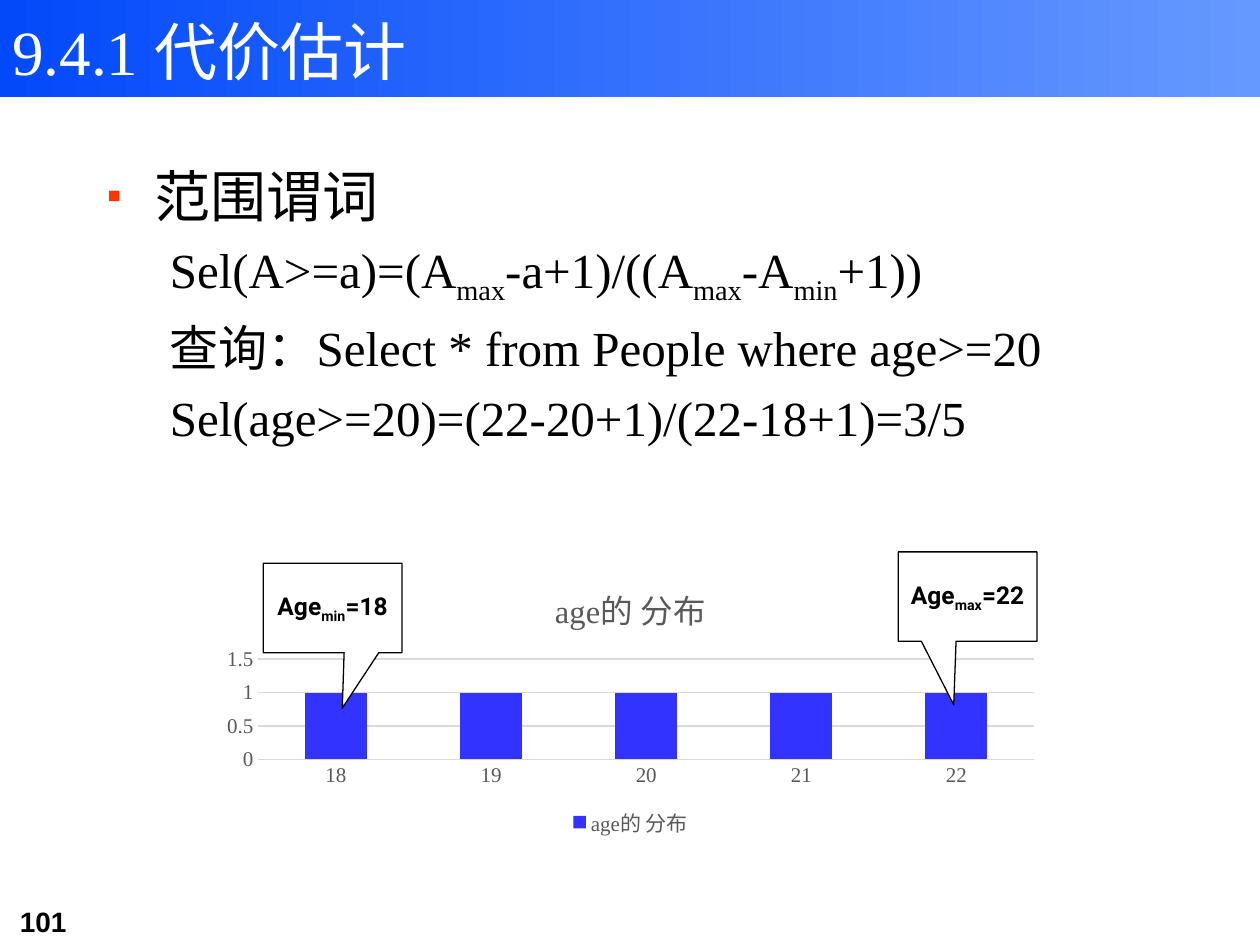
from lxml import etree
from pptx import Presentation
from pptx import util as u
from pptx.chart import data as cd
from pptx.dml.color import RGBColor
from pptx.enum import chart as ch, shapes, text
from pptx.oxml import ns

BLACK = RGBColor(0x00, 0x00, 0x00)
WHITE = RGBColor(0xFF, 0xFF, 0xFF)
DEEP = RGBColor(0x02, 0x49, 0xFA)
LIGHT = RGBColor(0x66, 0x99, 0xFF)
BAR = RGBColor(0x33, 0x33, 0xFF)
RED = RGBColor(0xFF, 0x33, 0x00)
GRAY = RGBColor(0x59, 0x59, 0x59)
PALE = RGBColor(0xD9, 0xD9, 0xD9)
SERIF, SANS, LABEL = "Times New Roman", "Arial", "Roboto"


class Deck:
    def __init__(self):
        self.prs = Presentation()
        self.prs.slide_width = u.Inches(10)
        self.prs.slide_height = u.Inches(7.5)
        self.slide = self.prs.slides.add_slide(self.prs.slide_layouts[6])

    def style(self, font, size, color, name=SERIF, bold=False):
        font.size = u.Pt(size)
        font.color.rgb = color
        font.name = name
        font.bold = bold

    def runs(self, para, parts, *look):
        for i, part in enumerate(parts):
            run = para.add_run()
            run.text = part
            self.style(run.font, *look)
            if i % 2:
                run.font._element.set("baseline", "-25000")

    def shape(self, kind, box):
        item = self.slide.shapes.add_shape(kind, *map(u.Inches, box))
        item.shadow.inherit = False
        return item

    def band(self, box):
        item = self.shape(shapes.MSO_SHAPE.RECTANGLE, box)
        item.line.fill.background()
        item.fill.gradient()
        item.fill.gradient_angle = 0
        for stop, color in zip(item.fill.gradient_stops, (DEEP, LIGHT)):
            stop.color.rgb = color

    def frame(self, box):
        frame = self.slide.shapes.add_textbox(*map(u.Inches, box)).text_frame
        frame.word_wrap = True
        return frame

    def label(self, box, words, *look):
        self.runs(self.frame(box).paragraphs[0], [words], *look)

    def body(self, box, head, lines):
        frame = self.frame(box)
        para = frame.paragraphs[0]
        self.runs(para, [head], 32, BLACK)
        self.bullet(para)
        for parts in lines:
            para = frame.add_paragraph()
            para.level = 1
            para.space_before = u.Pt(6.4)
            para._p.get_or_add_pPr().set("marL", str(u.Inches(0.5)))
            self.runs(para, parts, 28, BLACK)

    def bullet(self, para):
        props = para._p.get_or_add_pPr()
        props.set("marL", str(u.Inches(0.38)))
        props.set("indent", str(u.Inches(-0.38)))
        tint = etree.SubElement(props, ns.qn("a:buClr"))
        etree.SubElement(tint, ns.qn("a:srgbClr"), val=str(RED))
        etree.SubElement(props, ns.qn("a:buSzPct"), val="75000")
        etree.SubElement(props, ns.qn("a:buFont"), typeface=SANS)
        etree.SubElement(props, ns.qn("a:buChar"), char="▪")

    def callout(self, left, top, tip, parts):
        item = self.shape(shapes.MSO_SHAPE.RECTANGULAR_CALLOUT, (left, top, 1.1, 0.71))
        item.adjustments[0], item.adjustments[1] = tip
        item.fill.solid()
        item.fill.fore_color.rgb = WHITE
        item.line.color.rgb = BLACK
        item.line.width = u.Pt(0.75)
        frame = item.text_frame
        frame.word_wrap = False
        frame.vertical_anchor = text.MSO_ANCHOR.MIDDLE
        para = frame.paragraphs[0]
        para.alignment = text.PP_ALIGN.CENTER
        self.runs(para, parts, 14, BLACK, LABEL, True)

    def chart(self, box, name, cats, vals):
        data = cd.CategoryChartData()
        data.categories = cats
        data.add_series(name, vals)
        chart = self.slide.shapes.add_chart(
            ch.XL_CHART_TYPE.COLUMN_STACKED, *map(u.Inches, box), data).chart
        self.style(chart.font, 10, BLACK)
        chart.has_title = True
        self.runs(chart.chart_title.text_frame.paragraphs[0], [name], 18.6, GRAY)
        chart.has_legend = True
        chart.legend.position = ch.XL_LEGEND_POSITION.BOTTOM
        chart.legend.include_in_layout = False
        self.style(chart.legend.font, 12, GRAY)
        plot = chart.plots[0]
        plot.gap_width, plot.overlap = 150, 100
        plot.vary_by_categories = False
        fill = plot.series[0].format.fill
        fill.solid()
        fill.fore_color.rgb = BAR
        cat, val = chart.category_axis, chart.value_axis
        for axis in (cat, val):
            axis.major_tick_mark = axis.minor_tick_mark = ch.XL_TICK_MARK.NONE
            self.style(axis.tick_labels.font, 12, GRAY)
        for line in (cat.format.line, val.major_gridlines.format.line):
            line.color.rgb = PALE
            line.width = u.Pt(0.75)
        val.format.line.fill.background()
        val.minimum_scale, val.maximum_scale, val.major_unit = 0, 1.5, 0.5


def main():
    deck = Deck()
    deck.band((0, 0, 10, 0.77))
    deck.label((0.06, 7.13, 1.22, 0.37), "101", 16, BLACK, SANS, True)
    deck.body((0.75, 1.23, 8.5, 5.44), "范围谓词", [
        ["Sel(A>=a)=(A", "max", "-a+1)/((A", "max", "-A", "min", "+1))"],
        ["查询：Select * from People where age>=20"],
        ["Sel(age>=20)=(22-20+1)/(22-18+1)=3/5"],
    ])
    ages = [str(age) for age in range(18, 23)]
    deck.chart((1.67, 4.47, 6.67, 2.22), "age的 分布", ages, [1] * len(ages))
    deck.callout(2.09, 4.47, (0.07, 1.12), ["Age", "min", "=18"])
    deck.callout(7.13, 4.38, (-0.1, 1.21), ["Age", "max", "=22"])
    deck.label((0, 0.05, 7.68, 0.71), "9.4.1 代价估计", 36, WHITE)
    deck.prs.save("out.pptx")


if __name__ == "__main__":
    main()
